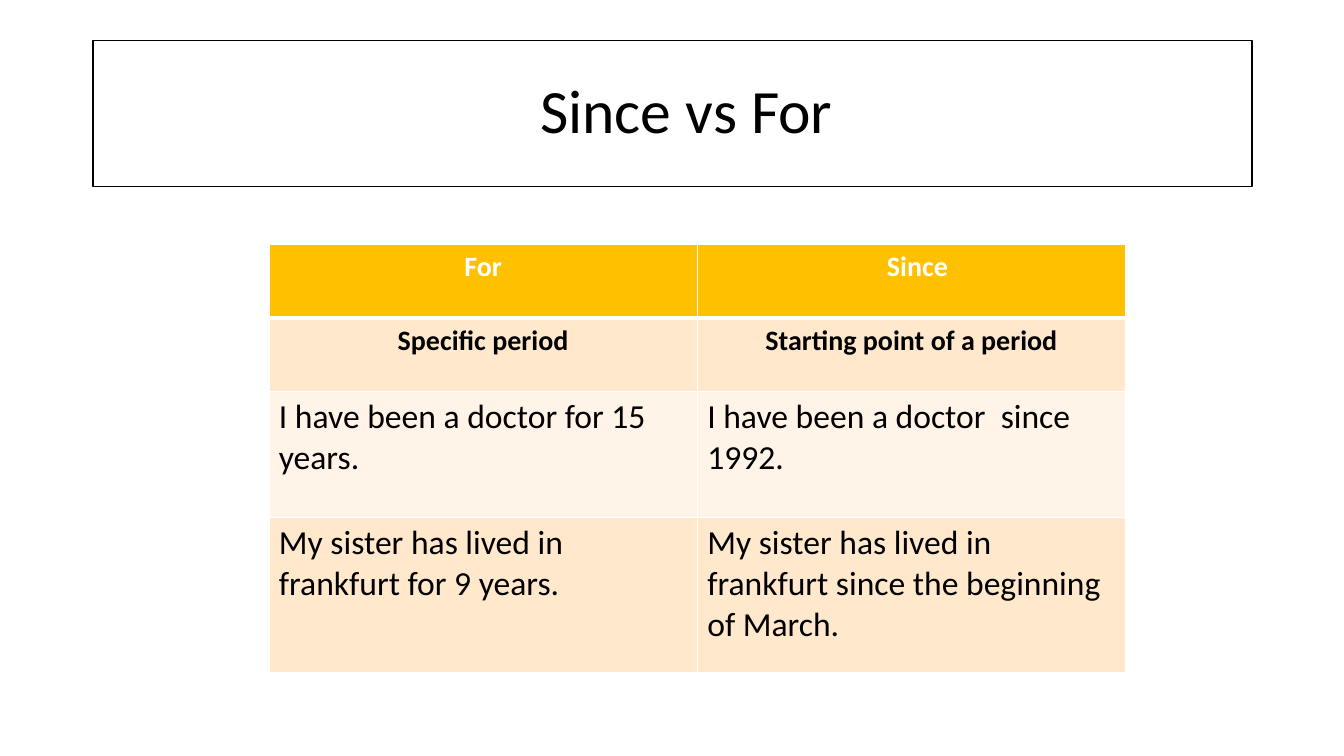
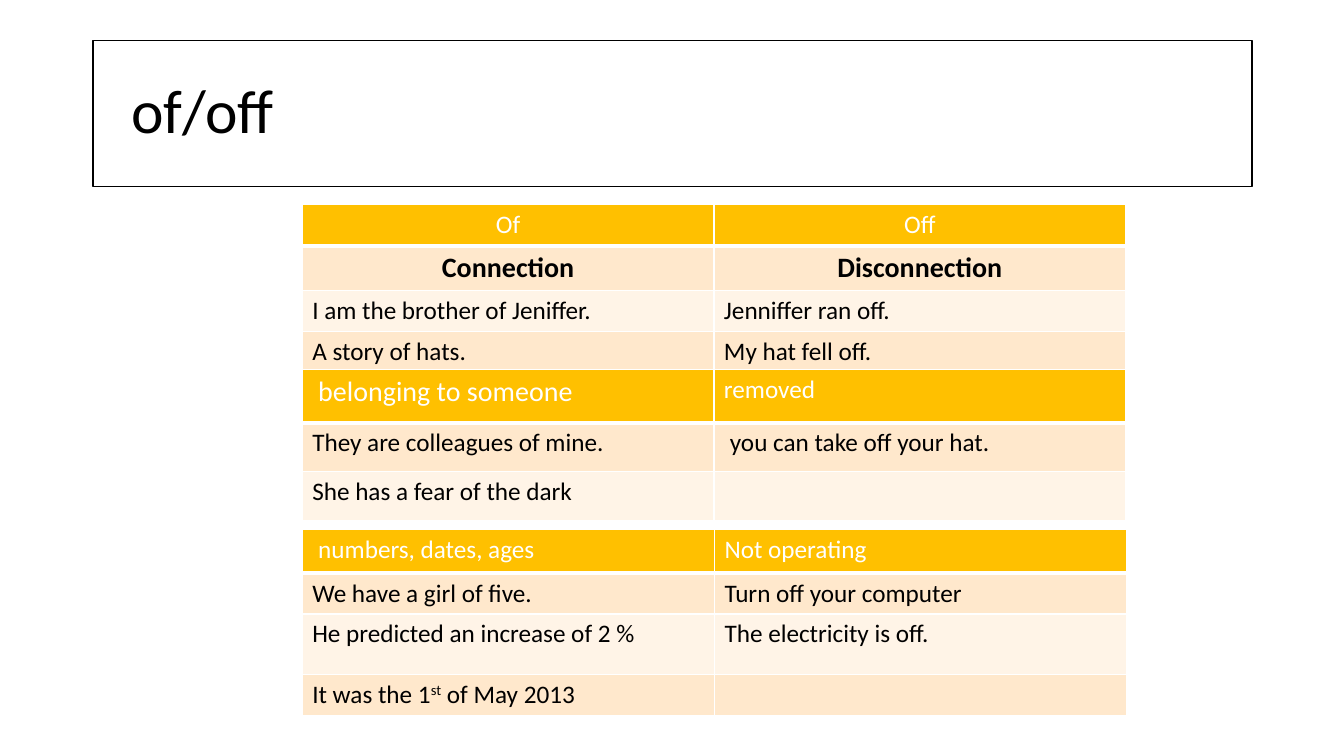
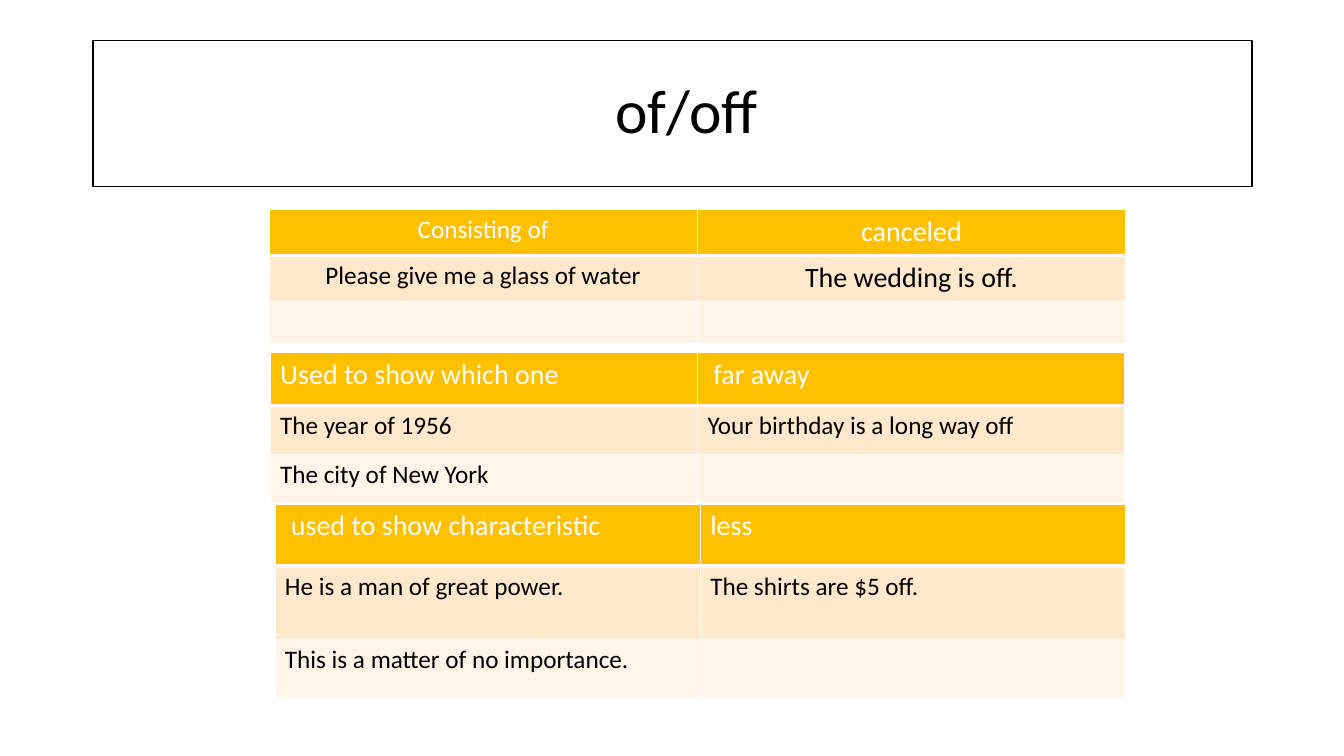
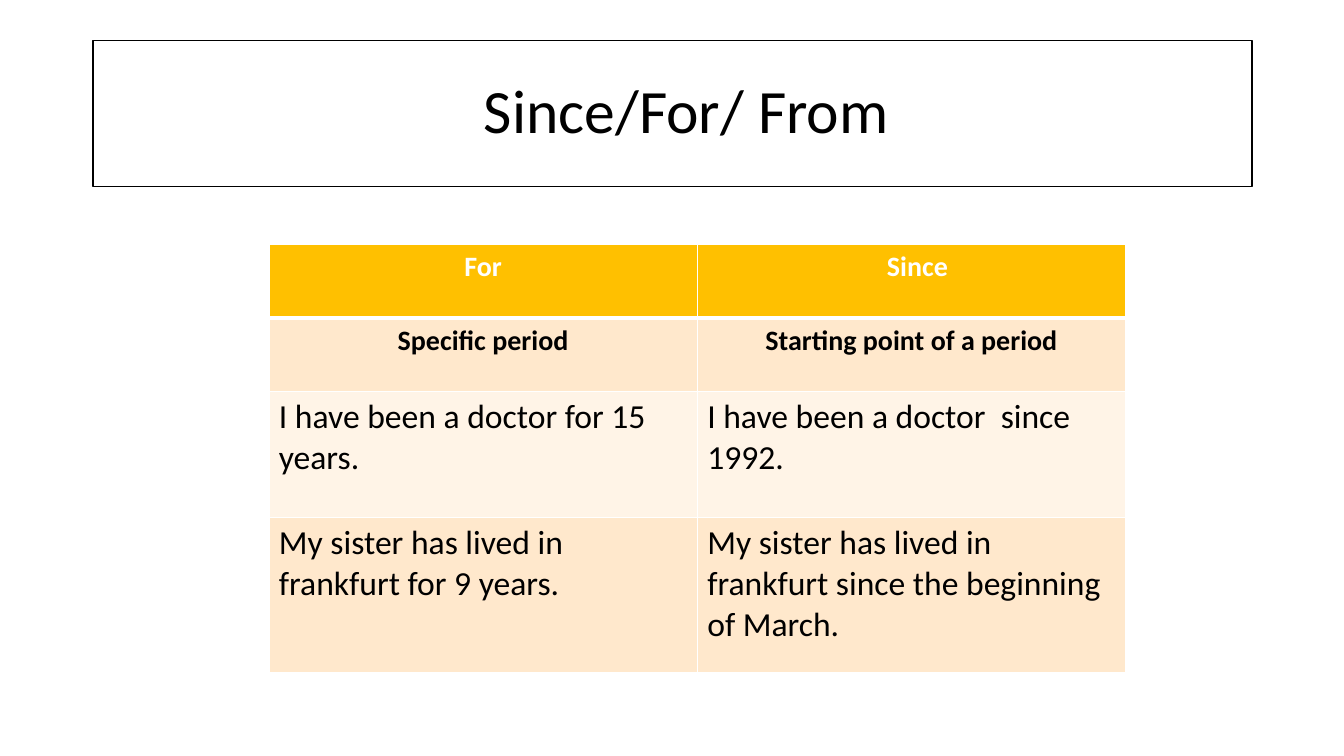
"""Build four grammar slides on since, for, of and off."""
from dataclasses import dataclass

from lxml.etree import SubElement
from pptx import Presentation
from pptx.dml.color import RGBColor
from pptx.enum.text import MSO_ANCHOR, MSO_AUTO_SIZE, PP_ALIGN
from pptx.oxml.ns import qn
from pptx.util import Cm, Pt


@dataclass(frozen=True)
class Theme:
    font: str = "Calibri"
    ink: str = "000000"
    paper: str = "FFFFFF"
    amber: str = "FFC000"
    peach: str = "FFE8CC"
    cream: str = "FFF4E7"
    head: int = 44
    large: int = 24
    mid: int = 20
    small: int = 18
    inset: float = 0.25
    step: float = 0.15


THEME = Theme()
CENTER, LEFT = PP_ALIGN.CENTER, PP_ALIGN.LEFT


def write(frame, text, size=THEME.small, color=THEME.ink, bold=False, align=LEFT, lines=1.0):
    para = frame.paragraphs[0]
    para.alignment = align
    para.line_spacing = lines
    para.font.size = Pt(size)
    for spot, part in enumerate(text.split("^")):
        if not part:
            continue
        run = para.add_run()
        run.text = part
        font = run.font
        font.name, font.size, font.bold = THEME.font, Pt(size), bold
        font.color.rgb = RGBColor.from_string(color)
        if spot % 2:
            run._r.get_or_add_rPr().set("baseline", "30000")


class Deck:
    def __init__(self, theme):
        self.theme = theme
        self.show = Presentation()
        self.show.slide_width, self.show.slide_height = Cm(33.87), Cm(19.05)
        self.slide = None

    def title(self, text, align=CENTER):
        look = self.theme
        self.slide = self.show.slides.add_slide(self.show.slide_layouts[5])
        box = self.slide.shapes.title
        box.left, box.top, box.width, box.height = Cm(2.34), Cm(1.02), Cm(29.21), Cm(3.68)
        box.fill.solid()
        box.fill.fore_color.rgb = RGBColor.from_string(look.paper)
        box.line.color.rgb = RGBColor.from_string(look.ink)
        box.line.width = Pt(1)
        frame = box.text_frame
        frame.auto_size = MSO_AUTO_SIZE.NONE
        frame.vertical_anchor = MSO_ANCHOR.MIDDLE
        frame.margin_left = Cm(0.97)
        write(frame, text, size=look.head, align=align, lines=0.9)

    def edge(self, cell, first):
        props = cell._tc.get_or_add_tcPr()
        for side in "LRTB":
            width = Pt(3 if first and side == "B" else 1)
            line = SubElement(props, qn(f"a:ln{side}"), w=str(width))
            fill = SubElement(line, qn("a:solidFill"))
            SubElement(fill, qn("a:srgbClr"), val=self.theme.paper)

    def table(self, left, top, width, rows):
        look = self.theme
        tall = sum(row[0] for row in rows)
        grid = self.slide.shapes.add_table(
            len(rows), 2, Cm(left), Cm(top), Cm(width), Cm(tall)).table
        for col in grid.columns:
            col.width = Cm(width / 2)
        for down, (height, style, *items) in enumerate(rows):
            grid.rows[down].height = Cm(height)
            first = down == 0
            tone = look.amber if first else look.peach if down % 2 else look.cream
            for across, item in enumerate(items):
                text, extra = item if isinstance(item, tuple) else (item, {})
                form = {"color": look.paper if first else look.ink, **style, **extra}
                cell = grid.cell(down, across)
                cell.margin_left = Cm(look.inset + form.pop("shift", 0))
                self.edge(cell, first)
                cell.fill.solid()
                cell.fill.fore_color.rgb = RGBColor.from_string(tone)
                write(cell.text_frame, text, **form)


PLAIN = {}
MID = {"size": THEME.mid}
LARGE = {"size": THEME.large}
MIDST = {"align": CENTER}
STRONG = {"size": THEME.mid, "bold": True, "align": CENTER}
SHIFT = {"shift": THEME.step}

PERIODS = [
    (1.85, STRONG, "For", ("Since", {"shift": 2 * THEME.step})),
    (1.85, STRONG, "Specific period", "Starting point of a period"),
    (3.18, LARGE, "I have been a doctor for 15 years.", "I have been a doctor  since 1992."),
    (3.91, LARGE, "My sister has lived in frankfurt for 9 years.",
     "My sister has lived in frankfurt since the beginning of March."),
]
LINKS = [
    (1, MIDST, "Of", "Off"),
    (1.13, STRONG, "Connection", "Disconnection"),
    (1.03, PLAIN, "I am the brother of Jeniffer.", "Jenniffer ran off."),
    (1, PLAIN, "A story of hats.", "My hat fell off."),
]
OWNERS = [
    (1.33, PLAIN, ("belonging to someone", MID | SHIFT), "removed"),
    (1.24, PLAIN, "They are colleagues of mine.", ("you can take off your hat.", SHIFT)),
    (1.24, PLAIN, "She has a fear of the dark", ""),
]
NUMBERS = [
    (1.1, PLAIN, ("numbers, dates, ages", SHIFT), "Not operating"),
    (1.03, PLAIN, "We have a girl of five.", "Turn off your computer"),
    (1.52, PLAIN, "He predicted an increase of 2 %", "The electricity is off."),
    (1.03, PLAIN, "It was the 1^st^ of May 2013", ""),
]
CONTENTS = [
    (1.16, MIDST, "Consisting of", ("canceled", MID)),
    (1.16, MIDST, "Please give me a glass of water", ("The wedding is off.", MID)),
    (1.07, PLAIN, "", ""),
]
CHOICES = [
    (1.33, MID, "Used to show which one", ("far away", SHIFT)),
    (1.24, PLAIN, "The year of 1956", "Your birthday is a long way off"),
    (1.24, PLAIN, "The city of New York", ""),
]
TRAITS = [
    (1.57, MID, ("used to show characteristic", SHIFT), "less"),
    (1.85, PLAIN, "He is a man of great power.", "The shirts are $5 off."),
    (1.46, PLAIN, "This is a matter of no importance.", ""),
]
SLIDES = [
    ("Since vs For", CENTER, [(6.78, 6.17, 21.59, PERIODS)]),
    ("of/off", LEFT, [(7.62, 5.16, 20.75, LINKS), (7.62, 9.32, 20.75, OWNERS),
                      (7.62, 13.34, 20.78, NUMBERS)]),
    ("of/off", CENTER, [(6.78, 5.28, 21.59, CONTENTS), (6.81, 8.89, 21.54, CHOICES),
                        (6.93, 12.7, 21.44, TRAITS)]),
    ("Since/For/ From", CENTER, [(6.78, 6.17, 21.59, PERIODS)]),
]


def main():
    deck = Deck(THEME)
    for name, align, tables in SLIDES:
        deck.title(name, align)
        for table in tables:
            deck.table(*table)
    deck.show.save("out.pptx")


if __name__ == "__main__":
    main()
